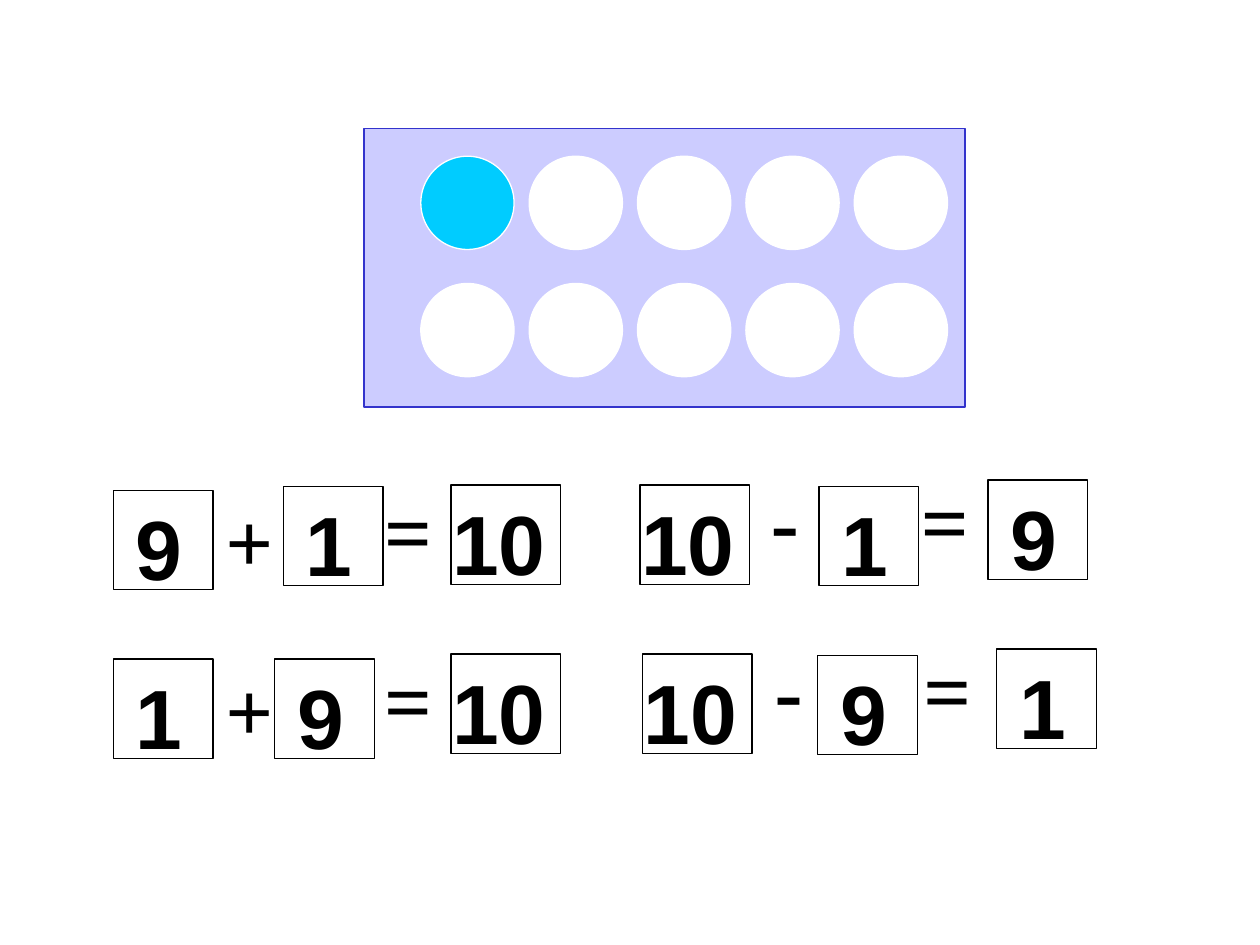
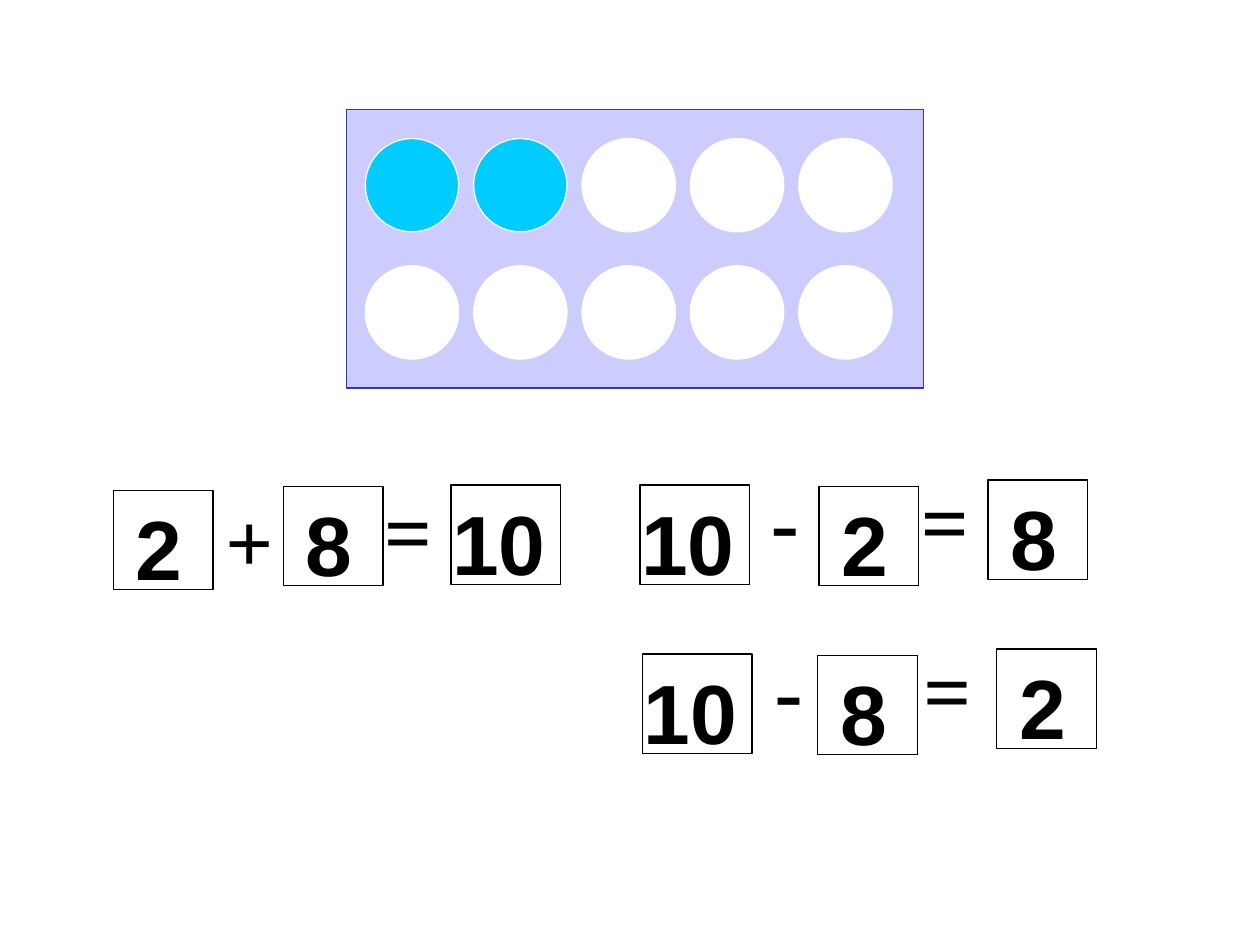
from pptx import Presentation
from pptx.dml.color import RGBColor
from pptx.enum.shapes import MSO_SHAPE
from pptx.util import Pt

RECT, OVAL = MSO_SHAPE.RECTANGLE, MSO_SHAPE.OVAL
BLACK = RGBColor(0x00, 0x00, 0x00)
WHITE = RGBColor(0xFF, 0xFF, 0xFF)
LILAC = RGBColor(0xCC, 0xCC, 0xFF)
BLUE = RGBColor(0x33, 0x33, 0xCC)
CYAN = RGBColor(0x00, 0xCC, 0xFF)

COLS, ROWS = 10, 7.5
DOT, DOT_COL, DOT_ROW = 0.74, 0.86, 1.01
BOX, WIDE = 0.79, 0.87
LINE_GAP = 1.34

SUM_ONE = [(0.9, 3.89), (1.69, 3.83), (2.25, 3.86), (2.95, 3.75), (3.58, 3.85)]
SUM_TWO = [(0.9, 3.89), (1.69, 3.83), (2.18, 3.89), (2.95, 3.75), (3.58, 3.85)]
TAKE_ONE = [(5.08, 3.85), (6.02, 3.67), (6.5, 3.86), (7.21, 3.67), (7.84, 3.81)]
TAKE_TWO = [(5.1, 3.85), (6.05, 3.67), (6.49, 3.86), (7.23, 3.67), (7.91, 3.81)]


class Deck:
    font = {"size": Pt(48), "bold": True}

    def __init__(self):
        self.show = Presentation()
        self.show.slide_width, self.show.slide_height = 9144000, 6858000
        self.col = self.show.slide_width / COLS
        self.row = self.show.slide_height / ROWS

    def page(self):
        self.slide = self.show.slides.add_slide(self.show.slide_layouts[6])

    def place(self, x, y, w, h):
        return [round(n) for n in (x * self.col, y * self.row, w * self.col, h * self.row)]

    def shape(self, kind, spot, line, fill=None):
        item = self.slide.shapes.add_shape(kind, *self.place(*spot))
        item.shadow.inherit = False
        if fill is None:
            item.fill.background()
        else:
            item.fill.solid()
            item.fill.fore_color.rgb = fill
        item.line.color.rgb = line
        item.line.width = Pt(0.75)

    def text(self, words, spot, face, top):
        frame = self.slide.shapes.add_textbox(*self.place(*spot)).text_frame
        frame.word_wrap = True
        frame.margin_top = round(top * self.row)
        run = frame.paragraphs[0].add_run()
        run.text = words
        for name, value in {**self.font, "name": face}.items():
            setattr(run.font, name, value)
        run.font.color.rgb = BLACK

    def number(self, words, x, y):
        wide = len(words) > 1
        shift, width = (-0.09, 1.43) if wide else (0.08, 0.63)
        self.text(words, (x + shift, y - 0.06, width, 0.9), "Arial", 0.11)
        self.shape(RECT, (x, y, WIDE if wide else BOX, BOX), BLACK)

    def sign(self, words, x, y):
        self.text(words, (x, y, 0.63, 0.95), "Times New Roman", 0.05)

    def sentence(self, words, spots, line):
        for part, (x, y) in zip(words.split(), spots):
            draw = self.number if part.isdigit() else self.sign
            draw(part, x, y + line * LINE_GAP)

    def frame(self, panel, left, top, count):
        self.shape(RECT, panel, BLUE, LILAC)
        for i in range(10):
            row, col = divmod(i, 5)
            spot = (left + col * DOT_COL, top + row * DOT_ROW, DOT, DOT)
            self.shape(OVAL, spot, WHITE, CYAN if i < count else WHITE)


def main():
    deck = Deck()

    deck.page()
    deck.sentence("9 + 1 = 10", SUM_ONE, 0)
    deck.sentence("10 - 1 = 9", TAKE_ONE, 0)
    deck.sentence("1 + 9 = 10", SUM_TWO, 1)
    deck.sentence("10 - 9 = 1", TAKE_TWO, 1)
    deck.frame((2.89, 1.02, 4.77, 2.21), 3.34, 1.24, 1)

    deck.page()
    deck.frame((2.75, 0.87, 4.58, 2.21), 2.9, 1.1, 2)
    deck.sentence("2 + 8 = 10", SUM_ONE, 0)
    deck.sentence("10 - 2 = 8", TAKE_ONE, 0)
    deck.sentence("10 - 8 = 2", TAKE_TWO, 1)

    deck.show.save("out.pptx")


if __name__ == "__main__":
    main()
